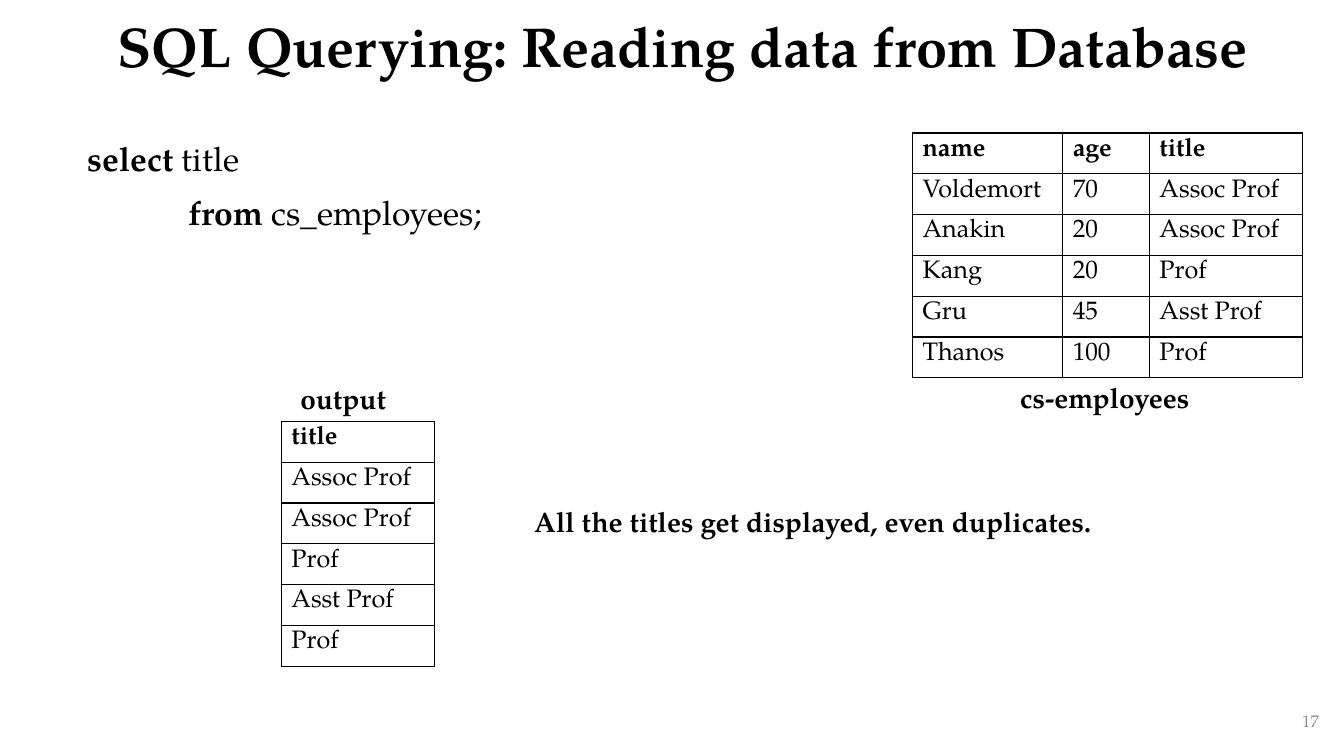
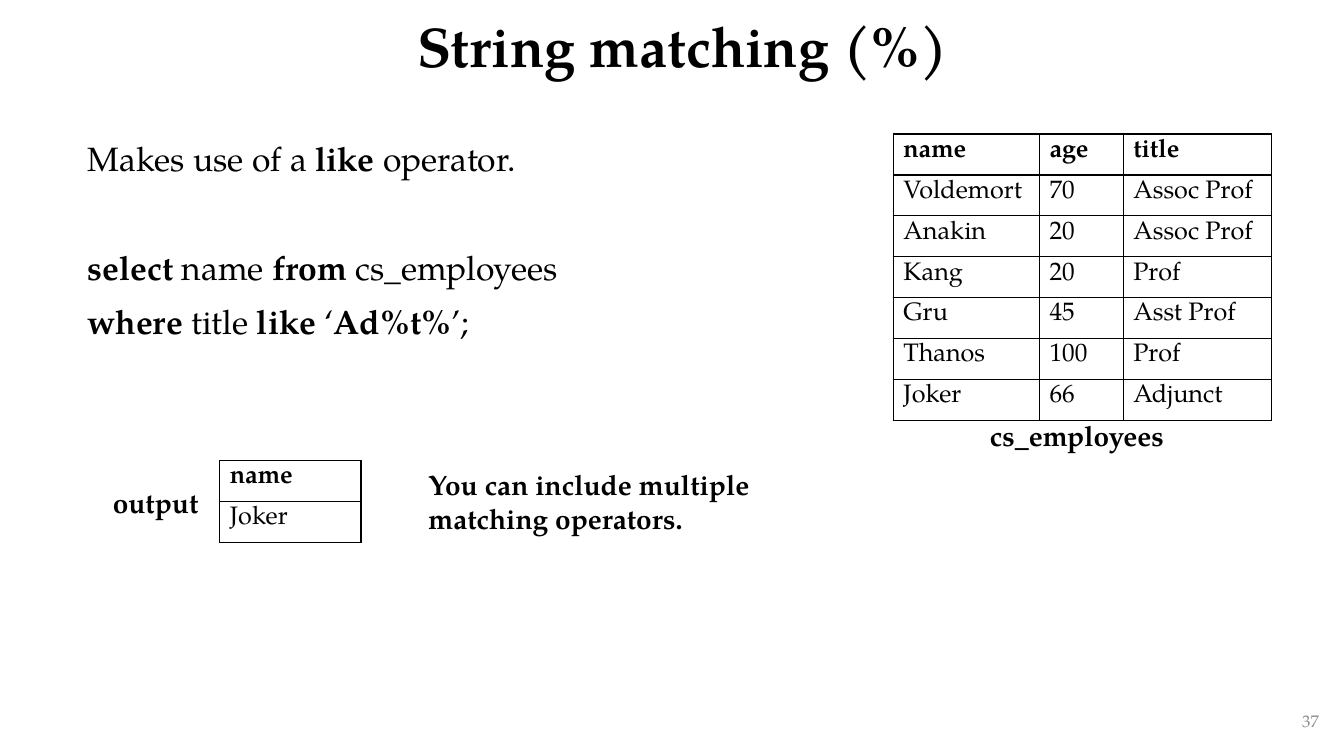
from lxml.etree import SubElement
from pptx import Presentation
from pptx.dml.color import RGBColor
from pptx.enum.text import MSO_ANCHOR, PP_ALIGN
from pptx.oxml.ns import qn
from pptx.util import Pt

BLACK = RGBColor(0x00, 0x00, 0x00)
GRAY = RGBColor(0x8C, 0x8C, 0x8C)
FONT = "TeX Gyre Pagella"
SCALE = 9144

TITLE = {"size": Pt(40), "bold": True}
BODY = {"size": Pt(24), "bold": False}
LABEL = {"size": Pt(20), "bold": True}
HEADER = {"size": Pt(18), "bold": True}
CELL = {"size": Pt(18), "bold": False}
FOOTER = {"size": Pt(12), "bold": False}

EMPLOYEES = [
    ("name", "age", "title"),
    ("Voldemort", "70", "Assoc Prof"),
    ("Anakin", "20", "Assoc Prof"),
    ("Kang", "20", "Prof"),
    ("Gru", "45", "Asst Prof"),
    ("Thanos", "100", "Prof"),
]
ADJUNCT = ("Joker", "66", "Adjunct")


def px(length):
    return int(length * SCALE)


class LectureDeck:
    def __init__(self):
        self.deck = Presentation()
        self.deck.slide_width = px(1333)
        self.deck.slide_height = px(750)
        self.page = None

    def new_page(self, title, number):
        self.page = self.deck.slides.add_slide(self.deck.slide_layouts[6])
        self.text((102, 0, 1150, 98), title, TITLE, MSO_ANCHOR.MIDDLE,
                  {"alignment": PP_ALIGN.CENTER, "line_spacing": 0.9})
        self.text((1018, 695, 300, 40), str(number), FOOTER, MSO_ANCHOR.MIDDLE,
                  {"alignment": PP_ALIGN.RIGHT}, GRAY)

    def frame(self, place, anchor=MSO_ANCHOR.TOP):
        box = self.page.shapes.add_textbox(*map(px, place))
        box.text_frame.word_wrap = True
        box.text_frame.vertical_anchor = anchor
        return box.text_frame

    def span(self, para, text, style, color=BLACK):
        span = para.add_run()
        span.text = text
        for name, value in style.items():
            setattr(span.font, name, value)
        span.font.name = FONT
        span.font.color.rgb = color

    def text(self, place, text, style, anchor=MSO_ANCHOR.TOP, layout=None, color=BLACK):
        para = self.frame(place, anchor).paragraphs[0]
        for name, value in (layout or {}).items():
            setattr(para, name, value)
        self.span(para, text, style, color)

    def label(self, place, text):
        self.text(place, text, LABEL)

    def body(self, place, lines):
        frame = self.frame(place)
        for index, (marked, space, indent) in enumerate(lines):
            para = frame.add_paragraph() if index else frame.paragraphs[0]
            para.alignment = PP_ALIGN.JUSTIFY
            para.space_before = Pt(space)
            para._p.get_or_add_pPr().set("marL", str(px(indent)))
            for part, text in enumerate(marked.split("*")):
                if text:
                    self.span(para, text, {**BODY, "bold": part % 2 == 1})

    def border(self, cell):
        properties = cell._tc.get_or_add_tcPr()
        for side in ("lnL", "lnR", "lnT", "lnB"):
            line = SubElement(properties, qn(f"a:{side}"), w=str(Pt(1)))
            fill = SubElement(line, qn("a:solidFill"))
            SubElement(fill, qn("a:srgbClr"), val=str(BLACK))

    def table(self, left, top, height, widths, rows):
        shape = self.page.shapes.add_table(
            len(rows), len(widths), px(left), px(top), px(sum(widths)), px(height))
        table = shape.table
        table.horz_banding = False
        for column, width in zip(table.columns, widths):
            column.width = px(width)
        for index, values in enumerate(rows):
            table.rows[index].height = px(height / len(rows))
            for cell, value in zip(table.rows[index].cells, values):
                self.border(cell)
                cell.fill.background()
                self.span(cell.text_frame.paragraphs[0], value, CELL if index else HEADER)

    def save(self):
        self.deck.save("out.pptx")


def reading_page(lecture):
    lecture.new_page("SQL Querying: Reading data from Database", 17)
    lecture.body((77, 132, 1011, 558), [
        ("*select* title", 0, 0),
        ("*from *cs_employees;", 10, 100),
    ])
    lecture.table(905, 132, 243, (149, 86, 152), EMPLOYEES)
    lecture.table(279, 418, 243, (152,), [row[2:] for row in EMPLOYEES])
    lecture.label((288, 374, 121, 44), "output")
    lecture.label((520, 496, 584, 44), "All the titles get displayed, even duplicates.")
    lecture.label((1002, 373, 201, 44), "cs-employees")


def matching_page(lecture):
    lecture.new_page("String matching (%)", 37)
    lecture.body((77, 132, 1225, 558), [
        ("Makes use of a *like* operator.", 0, 0),
        ("*select *name* from *cs_employees", 49, 0),
        ("*where *title* like *‘*Ad%t%*’;", 10, 0),
    ])
    lecture.table(886, 133, 284, (145, 83, 147), EMPLOYEES + [ADJUNCT])
    lecture.label((972, 410, 201, 44), "cs_employees")
    lecture.label((102, 477, 121, 44), "output")
    lecture.table(218, 457, 81, (140,), [EMPLOYEES[0][:1], ADJUNCT[:1]])
    lecture.label((415, 459, 379, 77), "You can include multiple matching operators.")


def main():
    lecture = LectureDeck()
    reading_page(lecture)
    matching_page(lecture)
    lecture.save()


if __name__ == "__main__":
    main()
